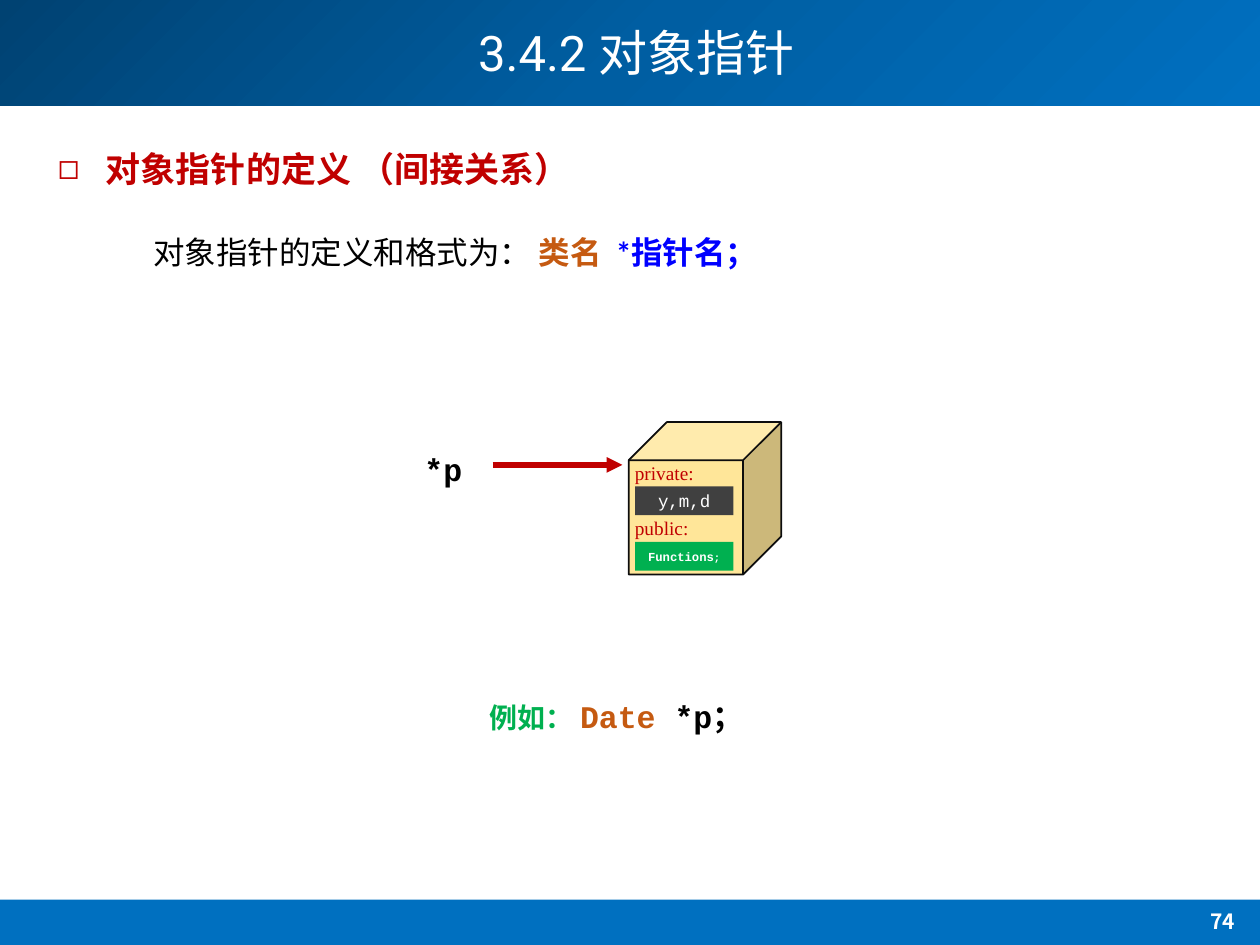
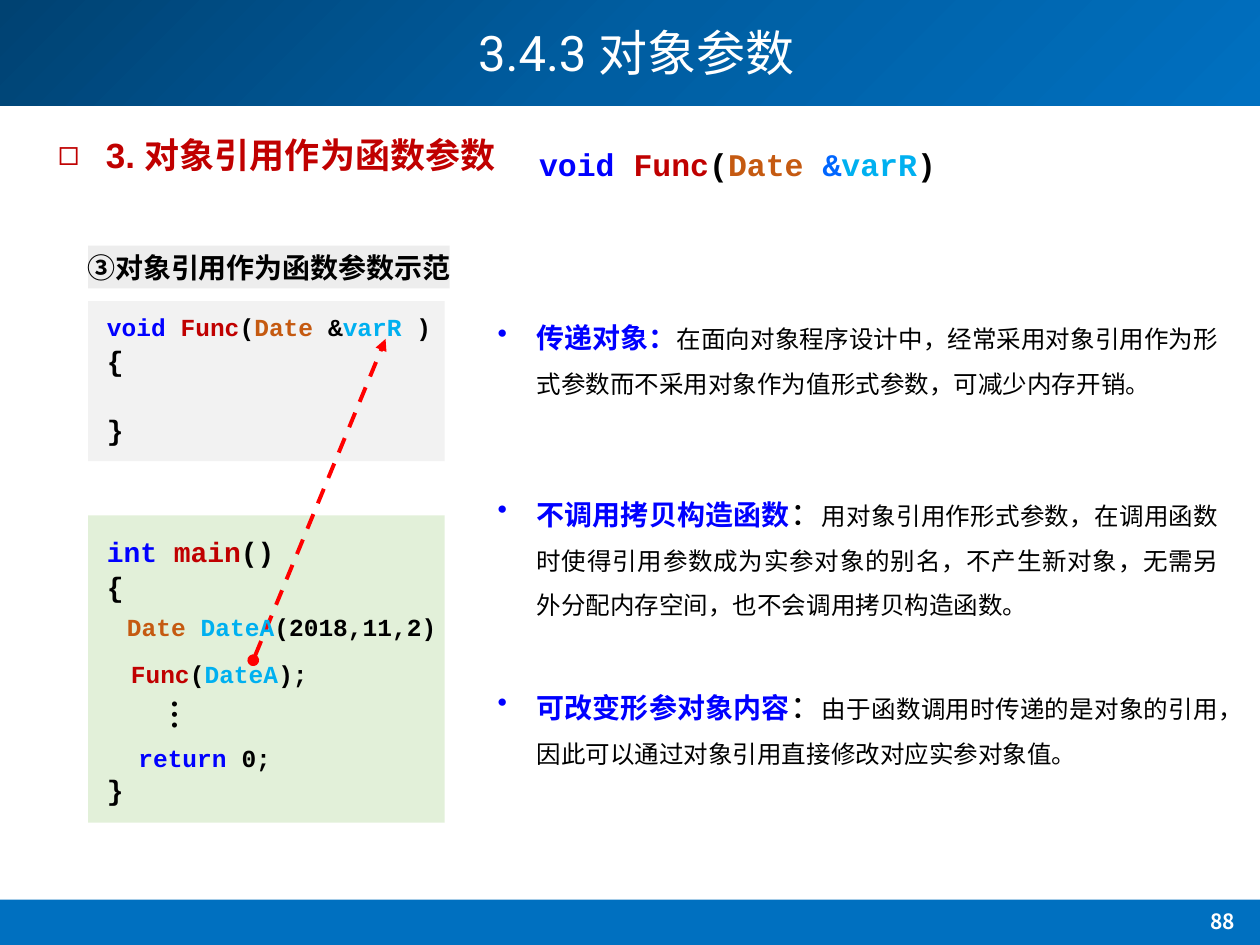
from copy import deepcopy

from lxml.etree import SubElement
from pptx import Presentation
from pptx.dml.color import RGBColor
from pptx.enum.dml import MSO_LINE
from pptx.enum.shapes import MSO_CONNECTOR, MSO_SHAPE
from pptx.enum.text import MSO_ANCHOR, PP_ALIGN
from pptx.oxml.ns import qn
from pptx.util import Inches, Pt

RECT, CUBE = MSO_SHAPE.RECTANGLE, MSO_SHAPE.CUBE
STRAIGHT, DASH = MSO_CONNECTOR.STRAIGHT, MSO_LINE.DASH
LEFT, CENTER, JUSTIFY = PP_ALIGN.LEFT, PP_ALIGN.CENTER, PP_ALIGN.JUSTIFY
MIDDLE = MSO_ANCHOR.MIDDLE
hue = RGBColor.from_string

# Shared style: a grid of 100 columns by 75 rows
CELL = Inches(0.1)
COLS, ROWS = 100, 75
NAVY, MID, BLUE = "004272", "005EA2", "0070C0"
WHITE, BLACK, RED, ORANGE = "FFFFFF", "000000", "C00000", "C55A11"
KEYWORD, SKY, GREEN = "0000FF", "00B0F0", "00B050"
CODE, SANS, CJK = "Courier New", "Arial", "Noto Sans CJK SC"


def place(shapes, at, fill=None, kind=RECT):
    """Add a filled shape, or a text box if there is no fill, in grid cells."""
    box = [int(v * CELL) for v in at]
    if fill is None:
        return shapes.add_textbox(*box)
    sp = shapes.add_shape(kind, *box)
    sp.shadow.inherit = False
    sp.fill.solid()
    sp.fill.fore_color.rgb = hue(fill)
    sp.line.fill.background()
    return sp


def write(sp, lines, font, size, bold=True, align=LEFT, spacing=1.0,
          bullet=None, indent=0, gaps=(), wrap=True):
    """Fill a shape with lines of runs: (text, colour[, size[, bold]])."""
    tf = sp.text_frame
    tf.word_wrap = wrap
    for i, runs in enumerate(lines):
        p = tf.add_paragraph() if i else tf.paragraphs[0]
        p.alignment, p.line_spacing = align, spacing
        p.space_before = Pt(gaps[i] if gaps else 0)
        if bullet:
            pPr = p._p.get_or_add_pPr()
            pPr.set("marL", str(Inches(indent)))
            pPr.set("indent", str(-Inches(indent)))
            SubElement(pPr, qn("a:buChar")).set("char", bullet)
        for text, colour, *rest in runs:
            r = p.add_run()
            r.text = text
            r.font.name = font
            r.font.size = Pt(rest[0] if rest else size)
            r.font.bold = rest[1] if len(rest) > 1 else bold
            r.font.color.rgb = hue(colour)
            SubElement(r._r.get_or_add_rPr(), qn("a:ea")).set("typeface", CJK)


prs = Presentation()
prs.slide_width, prs.slide_height = COLS * CELL, ROWS * CELL

# Bands, title, heading and page number of each slide
slides = []
for title, heading, heading_top, page in [
    ("3.4.2 对象指针", "对象指针的定义 （间接关系）", 11.2, "74"),
    ("3.4.3 对象参数", "3. 对象引用作为函数参数", 10.1, "88"),
]:
    s = prs.slides.add_slide(prs.slide_layouts[1])
    slides.append(s)

    header = place(s.shapes, (0, 0, COLS, 8.4), BLUE)
    header.fill.gradient()
    header.fill.gradient_angle = 315
    first_stop = next(header.element.iter(qn("a:gs")))
    first_stop.addnext(deepcopy(first_stop))
    for stop, colour, share in zip(header.fill.gradient_stops,
                                   (NAVY, MID, BLUE), (0, 0.5, 1)):
        stop.color.rgb, stop.position = hue(colour), share
    footer = place(s.shapes, (0, 71.4, COLS, 3.6), BLUE)
    for band in (footer, header):
        s.shapes.element.insert(2, band.element)

    body = s.placeholders[1]
    for sp, at in ((s.shapes.title, (8.5, 0, 84, 8.9)),
                   (body, (3.6, heading_top, 78.2, 4.4))):
        sp.left, sp.top, sp.width, sp.height = [int(v * CELL) for v in at]
    s.shapes.title.text_frame.vertical_anchor = MIDDLE
    write(s.shapes.title, [[(title, WHITE)]], "Roboto", 28, False, CENTER, 0.9)
    write(body, [[(heading, RED)]], SANS, 20, bullet="◻", indent=0.38)
    write(place(s.shapes, (92.3, 71.6, 9.5, 3.6)), [[(page, WHITE)]],
          CJK, 12, align=CENTER)

pointer, reference = slides

# Cube of the object with its private and public members
group = pointer.shapes.add_group_shape()
cube = place(group.shapes, (49.9, 33.5, 12.1, 12.1), "FFE699", CUBE)
cube.line.color.rgb, cube.line.width = hue("0D0D0D"), Pt(1)
for top, label, fill, member in [
    (36.1, "private:", "404040", [("y,m,d", WHITE, 10, False)]),
    (40.5, "public:", GREEN, [("Functions", WHITE), (";", WHITE, 6)]),
]:
    write(place(group.shapes, (49.4, top, 17.2, 2.9)), [[(label, RED)]],
          "Times New Roman", 11, False)
    sp = place(group.shapes, (50.4, top + 2.5, 7.8, 2.3), fill)
    sp.text_frame.vertical_anchor = MIDDLE
    write(sp, [member], CODE, 7, align=CENTER)

# Code panels and their label
label = place(reference.shapes, (7, 19.5, 28.7, 3.4), "EDEDED")
write(label, [[("③对象引用作为函数参数示范", BLACK)]], SANS, 16,
      align=CENTER, wrap=False)
for top, height, fill in ((23.9, 12.7, "F2F2F2"), (40.9, 24.4, "E2F0D9")):
    place(reference.shapes, (7, top, 28.3, height), fill)

# Arrows
for s, ends, colour, width, dash, tail in [
    (pointer, (39.1, 36.9, 49.4, 36.9), RED, 3, None, None),
    (reference, (20.1, 52.4, 30.6, 26.9), "FF0000", 2.25, DASH, "oval"),
]:
    arrow = s.shapes.add_connector(STRAIGHT, *[int(v * CELL) for v in ends])
    arrow.line.color.rgb, arrow.line.width = hue(colour), Pt(width)
    arrow.line.dash_style = dash
    ln = arrow.line._get_or_add_ln()
    if tail:
        SubElement(ln, qn("a:headEnd")).set("type", tail)
    SubElement(ln, qn("a:tailEnd")).set("type", "triangle")
    SubElement(arrow.element.spPr, qn("a:effectLst"))

# Definition of an object pointer
write(place(pointer.shapes, (11.2, 16.5, 88, 5.6)),
      [[("对象指针的定义和格式为： ", BLACK, 18, False), ("类名 ", ORANGE),
        (" *指针名；", KEYWORD)]], "Calibri", 18, spacing=1.5)

# Single lines of code
for s, at, size, runs in [
    (pointer, (32.7, 35.2, 6, 4), 18, [("*p", BLACK)]),
    (pointer, (37.9, 54.8, 24, 4), 18,
     [("例如： ", GREEN, 16), ("Date ", ORANGE), ("*p；", BLACK)]),
    (reference, (41.8, 11, 33.7, 4), 18,
     [("void ", KEYWORD), ("Func", RED), ("(", BLACK), ("Date ", ORANGE),
      ("&", "0066FF"), ("varR", SKY), (")", BLACK)]),
    (reference, (9.1, 48.1, 26.7, 3.4), 14,
     [("Date ", ORANGE), ("DateA", SKY), ("(2018,11,2)", BLACK)]),
    (reference, (9.4, 51.8, 16.1, 3.4), 14,
     [("Func", RED), ("(", BLACK), ("DateA", SKY), (");", BLACK)]),
    (reference, (10, 58.5, 12.6, 3.4), 14,
     [("return", KEYWORD), (" 0;", BLACK)]),
]:
    write(place(s.shapes, at), [runs], CODE, size, wrap=False)

# Function frames: signature, opening and closing brace
for at, signature, gaps in [
    ((7.5, 24.3, 27.8, 11.8),
     [("void ", KEYWORD, 14), ("Func", RED, 14), ("(", BLACK, 14),
      ("Date ", ORANGE, 14), ("&", BLACK, 14), ("varR ", SKY, 14),
      (")", BLACK, 14)], (0, 1, 20)),
    ((7.5, 41.9, 27.3, 22.6),
     [("int ", KEYWORD), ("main", RED), ("()", BLACK)], (0, 1, 97)),
]:
    write(place(reference.shapes, at),
          [signature, [("{", BLACK)], [("}", BLACK)]], CODE, 16, gaps=gaps)

# Vertical ellipsis
dots = place(reference.shapes, (11.4, 54.6, 6.1, 5.3))
write(dots, [[("…", BLACK)]], "Calibri", 24, False, CENTER)
next(dots.element.iter(qn("a:bodyPr"))).set("vert", "eaVert")

# Points about passing by reference
for top, height, runs in [
    (23.6, 8.6,
     [("传递对象：", KEYWORD, 16, True),
      ("在面向对象程序设计中，经常采用对象引用作为形式参数而不采用对象作为值形式参数，"
       "可减少内存开销。", BLACK)]),
    (37.2, 12.6,
     [("不调用拷贝构造函数", KEYWORD, 16, True), ("：", BLACK, 18),
      ("用对象引用作形式参数，在调用函数时使得引用参数成为实参对象的别名，不产生新对象，"
       "无需另外分配内存空间，也不会调用拷贝构造函数。", BLACK)]),
    (52.5, 9.1,
     [("可改变形参对象内容", KEYWORD, 16, True), ("：", BLACK, 18),
      ("由于函数调用时传递的是对象的引用，因此可以通过对象引用直接修改对应实参对象值。",
       BLACK)]),
]:
    write(place(reference.shapes, (38.5, top, 59.2, height)), [runs], SANS, 14,
          False, JUSTIFY, 1.5, bullet="•", indent=0.31)
    bullet_paragraph = reference.shapes[-1].text_frame.paragraphs[0]
    bullet_paragraph.font.color.rgb = hue(KEYWORD)

prs.save("out.pptx")
